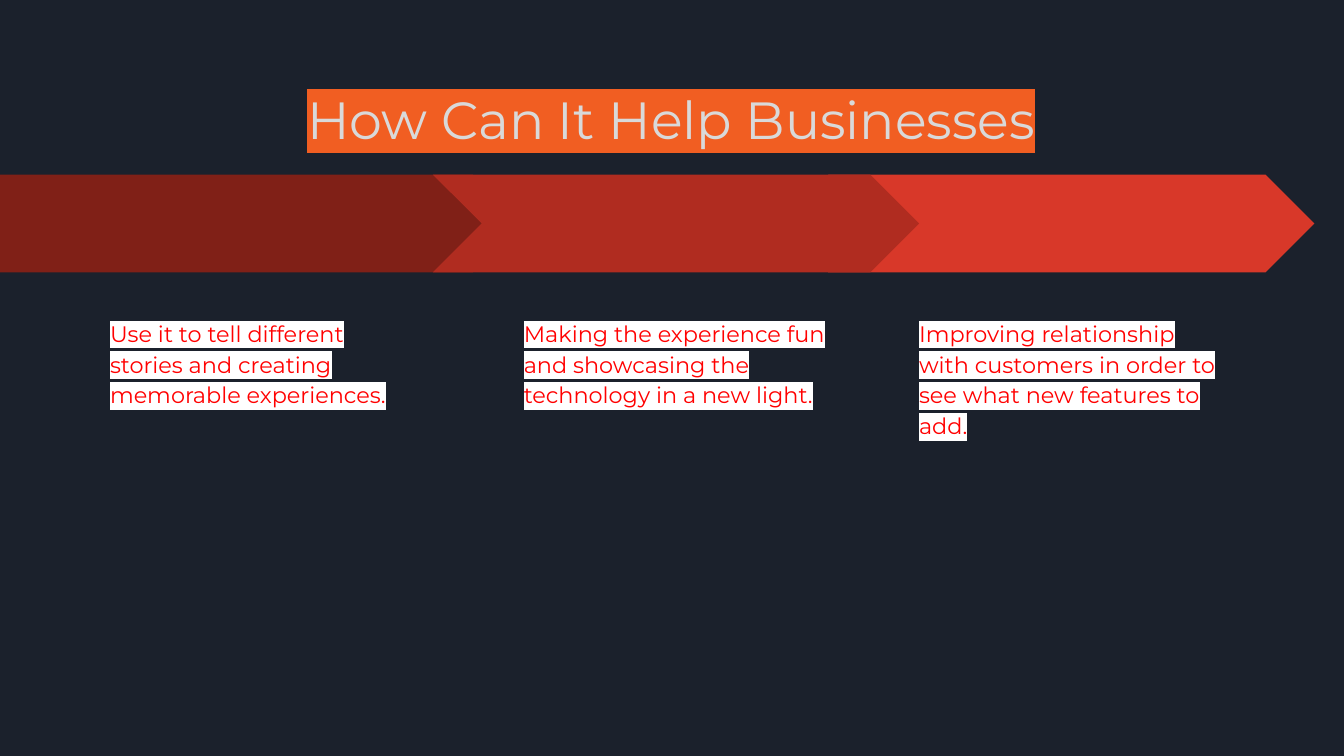
from lxml.etree import SubElement
from pptx import Presentation
from pptx.dml.color import RGBColor
from pptx.enum.shapes import MSO_SHAPE
from pptx.enum.text import MSO_ANCHOR, PP_ALIGN
from pptx.oxml.ns import qn
from pptx.util import Cm, Pt

FONT = "Montserrat"
BACKGROUND = "1B212C"
ARROW_TOP, ARROW_HEIGHT = 3.3, 1.85
PLATE_WIDTH, CHEVRON_WIDTH = 9.86, 9.19
CHEVRON_LEFT, CHEVRON_STEP = 8.18, 7.47
TEXT_INDENT, FIRST_TEXT_LEFT = 1.47, 1.83
TEXT_TOP, TEXT_WIDTH, TEXT_HEIGHT = 5.72, 6.22, 7.26

TITLE_FORMAT = {
    "frame": {
        "vertical_anchor": MSO_ANCHOR.MIDDLE,
        "margin_left": Cm(0.18), "margin_right": Cm(0.18),
        "margin_top": Cm(0.1), "margin_bottom": Cm(0.1),
    },
    "paragraph": {"alignment": PP_ALIGN.CENTER, "line_spacing": 0.9},
    "font": {"name": FONT, "size": Pt(28)},
    "color": "D9D9D9",
    "highlight": "F15E22",
}
BODY_FORMAT = {
    "frame": {
        "vertical_anchor": MSO_ANCHOR.TOP,
        "margin_left": Cm(0.25), "margin_right": Cm(0.25),
        "margin_top": Cm(0.25), "margin_bottom": Cm(0.25),
    },
    "paragraph": {"alignment": PP_ALIGN.LEFT, "line_spacing": 1.15},
    "font": {"name": FONT, "size": Pt(12)},
    "color": "FF0000",
    "highlight": "FFFFFF",
}

STEPS = [
    ("802017", "Use it to tell different stories and creating memorable experiences."),
    ("B02C20", "Making the experience fun and showcasing the technology in a new light."),
    ("D83829", "Improving relationship with customers in order to see what new features to add."),
]
DRAWING_ORDER = [2, 0, 1]


def rgb(value):
    return RGBColor.from_string(value)


def apply_format(target, values):
    for name, value in values.items():
        setattr(target, name, value)


def add_highlight(run, color):
    properties = run.font._element
    highlight = SubElement(properties, qn("a:highlight"))
    SubElement(highlight, qn("a:srgbClr"), val=color)
    properties.find(qn("a:solidFill")).addnext(highlight)


def add_text(shapes, text, box, text_format):
    shape = shapes.add_textbox(*map(Cm, box))
    frame = shape.text_frame
    frame.word_wrap = True
    apply_format(frame, text_format["frame"])
    paragraph = frame.paragraphs[0]
    apply_format(paragraph, text_format["paragraph"])
    run = paragraph.add_run()
    run.text = text
    apply_format(run.font, text_format["font"])
    run.font.color.rgb = rgb(text_format["color"])
    add_highlight(run, text_format["highlight"])


def add_arrow(shapes, kind, left, width, color):
    shape = shapes.add_shape(kind, Cm(left), Cm(ARROW_TOP), Cm(width), Cm(ARROW_HEIGHT))
    shape.shadow.inherit = False
    shape.fill.solid()
    shape.fill.fore_color.rgb = rgb(color)
    shape.line.fill.background()


def add_step(slide, index):
    color, text = STEPS[index]
    shapes = slide.shapes.add_group_shape().shapes
    if index == 0:
        add_arrow(shapes, MSO_SHAPE.PENTAGON, 0, PLATE_WIDTH, color)
        text_left = FIRST_TEXT_LEFT
    else:
        left = CHEVRON_LEFT + (index - 1) * CHEVRON_STEP
        add_arrow(shapes, MSO_SHAPE.CHEVRON, left, CHEVRON_WIDTH, color)
        text_left = left + TEXT_INDENT
    add_text(shapes, text, (text_left, TEXT_TOP, TEXT_WIDTH, TEXT_HEIGHT), BODY_FORMAT)


def main():
    presentation = Presentation()
    apply_format(presentation, {"slide_width": Cm(25.4), "slide_height": Cm(14.29)})
    slide = presentation.slides.add_slide(presentation.slide_layouts[6])
    slide.background.fill.solid()
    slide.background.fill.fore_color.rgb = rgb(BACKGROUND)
    add_text(slide.shapes, "How Can It Help Businesses", (1.9, 0.61, 21.56, 3.43), TITLE_FORMAT)
    for index in DRAWING_ORDER:
        add_step(slide, index)
    presentation.save("out.pptx")


if __name__ == "__main__":
    main()
